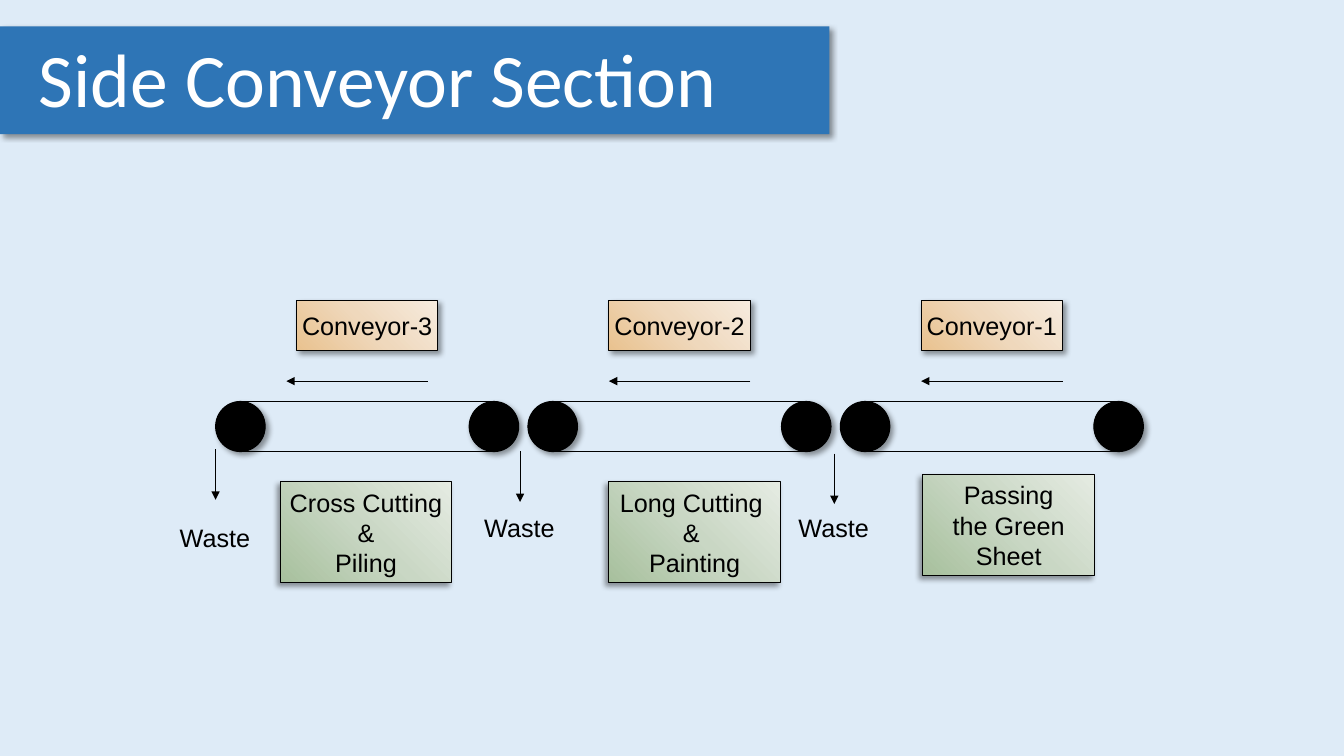
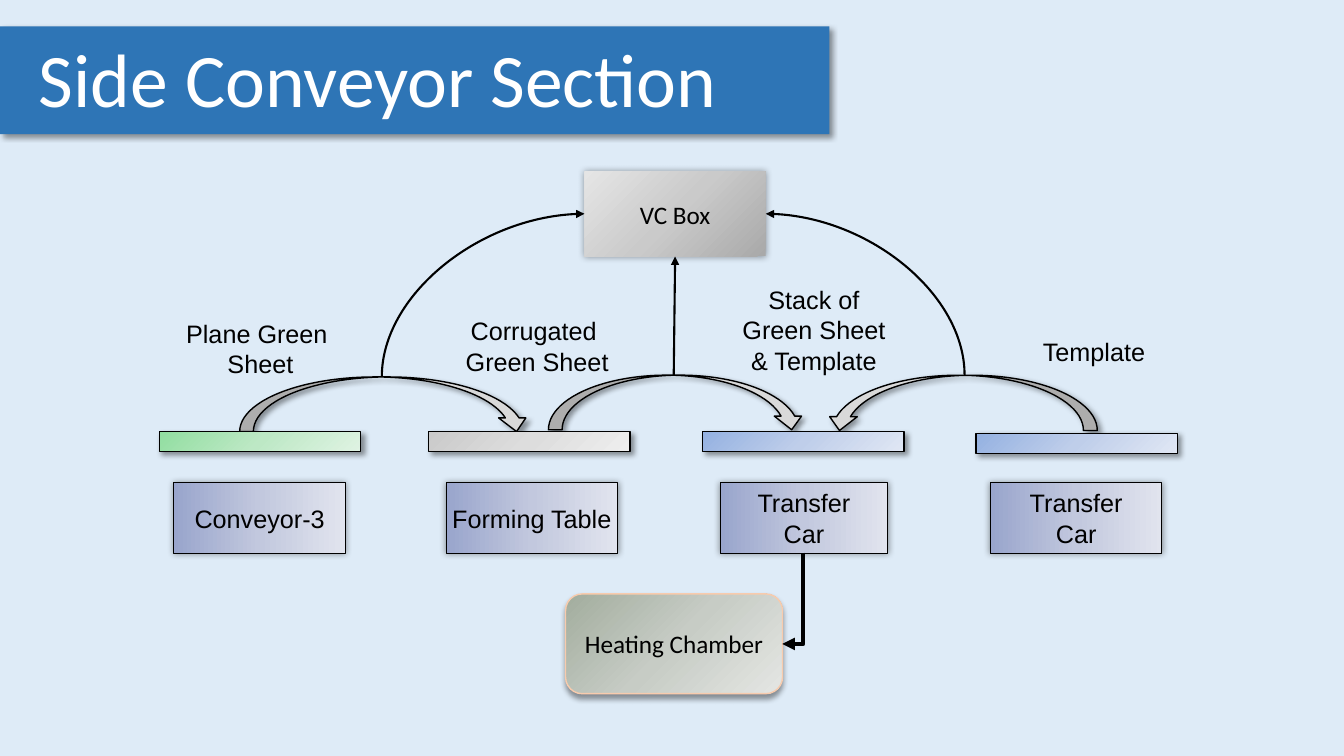
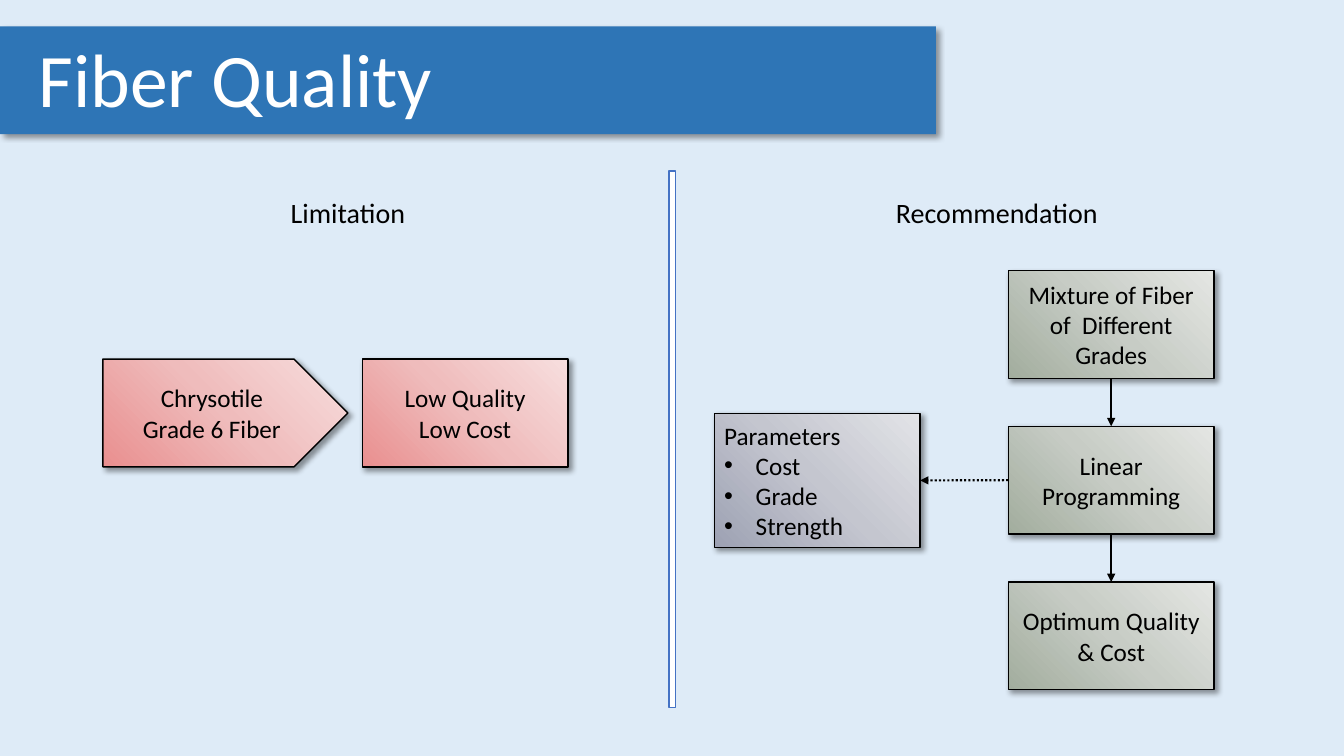
from lxml import etree
from pptx import Presentation
from pptx.dml.color import RGBColor
from pptx.enum import dml, shapes, text
from pptx.oxml.ns import qn
from pptx.util import Pt

SHAPE = shapes.MSO_SHAPE
CENTER, LEFT = text.PP_ALIGN.CENTER, text.PP_ALIGN.LEFT

# Colours: three-stop gradients run dark to light
BACKGROUND = RGBColor(0xDE, 0xEB, 0xF7)
BAND = RGBColor(0x2E, 0x75, 0xB6)
BLACK = RGBColor(0, 0, 0)
WHITE = RGBColor(255, 255, 255)
ARROW_GREY = RGBColor(0xD9, 0xD9, 0xD9)
DIVIDER_BLUE = RGBColor(0x44, 0x72, 0xC4)
PEACH = RGBColor(0xF8, 0xCB, 0xAD)
ORANGE = ("E9C28F", "EFD8BC", "F6EBDE")
LEAF = ("A7C09D", "C9D7C4", "E5EBE2")
LAVENDER = ("99A5CC", "C2C8DE", "E1E4EE")
GREEN = ("91DEA0", "BDE8C5", "DFF3E3")
BLUE = ("94B1E1", "BFCEEA", "E0E7F4")
SILVER = ("CACACA", "DDDDDD", "EEEEEE")
STEEL = ("A9A9A9", "CACACA", "E5E5E5")
SAGE = ("A2AD9E", "C7CCC5", "E4E6E3")
RED = ("E98F8F", "EFBCBC", "F7DEDE")
SLATE = ("9DA1B3", "C4C6CF", "E2E3E7")

# Shadows: blur, distance, direction
DROP, DROP_LEFT, DROP_DOWN, GLOW = (4, 3, 45), (4, 3, 135), (4, 3, 90), (5, 0, 0)

# Content, slide 1: conveyor, arrow left, task, task left and top, waste x, arrow top, label top
CONVEYORS = [
    ("Conveyor-3", 204.5, ["Cross Cutting", "&", "Piling"], 200.25, 344.25, 154, 321, 366),
    ("Conveyor-2", 435, ["Long Cutting ", "& ", "Painting"], 435, 344.25, 371.5, 322.5, 358.5),
    ("Conveyor-1", 658, ["Passing", " the Green ", "Sheet"], 659.25, 339, 596, 324, 358.5),
]

# Content, slide 2: station, plate left and top, plate colours, material, material top
STATIONS = [
    (["Conveyor-3"], 113.75, 308.25, GREEN, ["Plane Green ", "Sheet"], 216.5),
    (["Forming Table"], 306, 308.25, SILVER, ["Corrugated ", "Green Sheet"], 214.5),
    (["Transfer", "Car"], 501.75, 308.25, BLUE,
     ["Stack of", "Green Sheet", "& Template"], 203),
    (["Transfer", "Car"], 697.25, 309.5, BLUE, [" Template"], 218.75),
]
TRANSFERS = [  # shape, box, rotation
    (SHAPE.CURVED_DOWN_ARROW, (171.25, 269.25, 207.5, 39), 0),
    (SHAPE.CURVED_DOWN_ARROW, (391.75, 268, 183.5, 39), 0),
    (SHAPE.CURVED_UP_ARROW, (589.75, 268, 194, 39.5), 180),
]
TURNS = [  # preset, box, rotation, flips, weight
    ("curvedConnector2", (272.75, 152.75, 144.75, 116.5), 90, "HV", 1.5),
    ("curvedConnector2", (547, 152.75, 142, 115.25), 270, "V", 1.5),
    ("bentConnector2", (558.75, 394.75, 15, 65.25), 90, "", 3),
]

# Content, slide 3
HEADINGS = [("Limitation", 175, 147), ("Recommendation", 630.75, 162.5)]
LIMITATIONS = [
    (SHAPE.PENTAGON, 73.5, 175, ["Chrysotile", "Grade 6 Fiber"]),
    (SHAPE.RECTANGLE, 258.75, 147, ["Low Quality", "Low Cost"]),
]
STEPS = [["Mixture of Fiber of  Different Grades"], ["Linear Programming"],
         ["Optimum Quality", "& Cost"]]
PARAMETERS = ["Parameters", "Cost", "Grade", "Strength"]


def points(values):
    return [Pt(value) for value in values]


def add_effects(shape, shadow):
    properties = shape._element.spPr
    effects = etree.SubElement(properties, qn("a:effectLst"))
    if shadow:
        blur, distance, direction = shadow
        outer = etree.SubElement(effects, qn("a:outerShdw"), blurRad=str(Pt(blur)),
                                 dist=str(Pt(distance)), dir=str(direction * 60000),
                                 algn="tl", rotWithShape="0")
        color = etree.SubElement(outer, qn("a:srgbClr"), val="000000")
        etree.SubElement(color, qn("a:alpha"), val="40000")


def set_gradient(shape, colors, angle):
    shape.fill.gradient()
    shape.fill.gradient_angle = (360 - angle) % 360
    stops = shape._element.spPr.find(qn("a:gradFill")).find(qn("a:gsLst"))
    for stop in list(stops):
        stops.remove(stop)
    for position, color in zip((0, 50000, 100000), colors):
        stop = etree.SubElement(stops, qn("a:gs"), pos=str(position))
        etree.SubElement(stop, qn("a:srgbClr"), val=color)


def write(shape, lines, font="Arial", size=18, align=CENTER, wrap=False, inset=True):
    frame = shape.text_frame
    frame.word_wrap = wrap
    frame.vertical_anchor = text.MSO_ANCHOR.MIDDLE
    frame.margin_left = frame.margin_right = Pt(7.2 if inset else 0)
    frame.margin_top = frame.margin_bottom = Pt(3.6 if inset else 0)
    frame.text = "\n".join(lines)
    for paragraph in frame.paragraphs:
        paragraph.alignment = align
        paragraph.font.name = font
        paragraph.font.size = Pt(size)
        paragraph.font.color.rgb = BLACK


def add_box(slide, kind, box, fill, angle=315, line=BLACK, weight=1, shadow=DROP):
    shape = slide.shapes.add_shape(kind, *points(box))
    if isinstance(fill, RGBColor):
        shape.fill.solid()
        shape.fill.fore_color.rgb = fill
    else:
        set_gradient(shape, fill, angle)
    if line is None:
        shape.line.fill.background()
    else:
        shape.line.color.rgb = line
        shape.line.width = Pt(weight)
    add_effects(shape, shadow)
    return shape


def add_label(slide, box, lines, **style):
    write(slide.shapes.add_textbox(*points(box)), lines, **style)


def add_line(slide, start, end, weight=0.75, arrow=True, dash=None):
    line = slide.shapes.add_connector(shapes.MSO_CONNECTOR.STRAIGHT,
                                      *points(start + end))
    line.line.color.rgb = BLACK
    line.line.width = Pt(weight)
    if dash:
        line.line.dash_style = dash
    if arrow:
        etree.SubElement(line.line._get_or_add_ln(), qn("a:tailEnd"), type="triangle")
    add_effects(line, None)
    return line


def add_turn(slide, preset, box, rotation, flips, weight):
    """Draw a one-bend connector that fills box after its quarter turn."""
    left, top, width, height = box
    x, y = left + (width - height) / 2, top + (height - width) / 2
    line = add_line(slide, (x, y), (x + height, y + width), weight)
    properties = line._element.spPr
    properties.find(qn("a:prstGeom")).set("prst", preset)
    frame = properties.find(qn("a:xfrm"))
    frame.set("rot", str(rotation * 60000))
    for flip in flips:
        frame.set("flip" + flip, "1")


def link(slide, first, first_site, second, second_site, dash=None):
    line = add_line(slide, (0, 0), (1, 1), 1.5, dash=dash)
    line.begin_connect(first, first_site)
    line.end_connect(second, second_site)


def add_slide(presentation, title, band_width):
    """Add a slide whose title is the blue band."""
    slide = presentation.slides.add_slide(presentation.slide_layouts[5])
    band = slide.shapes.title
    band.left, band.top, band.width, band.height = points((0, 18.9, band_width, 77))
    band.fill.solid()
    band.fill.fore_color.rgb = BAND
    add_effects(band, DROP)
    write(band, [title], "Calibri", 54, LEFT, wrap=True)
    frame = band.text_frame
    frame.auto_size = text.MSO_AUTO_SIZE.NONE
    frame.vertical_anchor = text.MSO_ANCHOR.TOP
    frame.margin_left = Pt(27.6)
    frame.paragraphs[0].font.color.rgb = WHITE
    frame.paragraphs[0].line_spacing = 1.0
    return slide


def conveyor_slide(presentation):
    slide = add_slide(presentation, "Side Conveyor Section", 592.5)
    first, pitch, length, top = 154, 223.1, 216.5, 286.75
    pulley_width, pulley_height = 35.4, 35.8
    for index, conveyor in enumerate(CONVEYORS):
        name, arrow_left, task, task_left, task_top, waste_x, waste_top, label_top = conveyor
        left = first + index * pitch

        # Pulleys and belt
        for x in (left, left + length - pulley_width):
            add_box(slide, SHAPE.OVAL, (x, top, pulley_width, pulley_height), BLACK,
                    weight=0.75)
        for y in (top, top + pulley_height):
            add_line(slide, (left + pulley_width / 2, y),
                     (left + length - pulley_width / 2, y), arrow=False)

        # Name, direction and task
        sign = add_box(slide, SHAPE.RECTANGLE, (left + 57.75, 214.5, 101, 36), ORANGE,
                       weight=0.75)
        write(sign, [name])
        add_line(slide, (arrow_left + 101, 272.25), (arrow_left, 272.25))
        box = add_box(slide, SHAPE.FLOWCHART_PROCESS, (task_left, task_top, 122.5, 72),
                      LEAF, weight=0.75, shadow=DROP_LEFT)
        write(box, task)

        # Waste outlet
        add_line(slide, (waste_x, waste_top), (waste_x, waste_top + 36))
        add_label(slide, (waste_x - 30.5, label_top, 60, 36), ["Waste"], inset=False)


def transfer_slide(presentation):
    slide = add_slide(presentation, "Side Conveyor Section", 592.5)

    # Transfer arrows
    for kind, box, rotation in TRANSFERS:
        arrow = add_box(slide, kind, box, ARROW_GREY)
        arrow.rotation = rotation

    # Stations with plate and material
    for index, station in enumerate(STATIONS):
        name, plate_left, plate_top, colors, material, material_top = station
        center, material_center = 185.5 + index * 194.4, 186 + index * 197.7
        add_box(slide, SHAPE.RECTANGLE, (plate_left, plate_top, 144, 14.4), colors, 45)
        width = 119.5 if index == 2 else 122.5
        box = add_box(slide, SHAPE.FLOWCHART_PROCESS,
                      (center - width / 2, 344.75, width, 50.5),
                      LAVENDER, 0, weight=0.75, shadow=GLOW)
        write(box, name, inset=False)
        add_label(slide, (material_center - 61, material_top, 122, 65), material,
                  inset=False)

    # Vacuum box, heating chamber and their links
    vacuum = add_box(slide, SHAPE.RECTANGLE, (417.5, 122.75, 129.5, 60.5), STEEL, 225,
                     line=None, shadow=GLOW)
    write(vacuum, ["VC Box"], "Calibri", wrap=True)
    chamber = add_box(slide, SHAPE.ROUNDED_RECTANGLE, (404, 424.25, 155, 71.25), SAGE, 45,
                      line=PEACH, shadow=DROP_DOWN)
    write(chamber, ["Heating Chamber"], "Calibri", wrap=True)
    add_line(slide, (481.25, 268), (482.25, 183.25), 1.5)
    for turn in TURNS:
        add_turn(slide, *turn)


def fiber_slide(presentation):
    slide = add_slide(presentation, "Fiber Quality", 668.5)
    width, height = 147, 77

    # Two halves
    add_box(slide, SHAPE.RECTANGLE, (477.75, 122.25, 4.6, 383.25), WHITE,
            line=DIVIDER_BLUE, shadow=None)
    for heading, left, heading_width in HEADINGS:
        add_label(slide, (left, 122.5, heading_width, 58), [heading], font="Calibri",
                  size=20, wrap=True)
    for kind, left, box_width, lines in LIMITATIONS:
        box = add_box(slide, kind, (left, 256.5, box_width, height), RED)
        write(box, lines, "Calibri", wrap=True)

    # Recommended steps
    steps = []
    for index, lines in enumerate(STEPS):
        step = add_box(slide, SHAPE.RECTANGLE,
                       (720.25, 193.25 + index * 111.25, width, height), SAGE)
        write(step, lines, "Calibri", wrap=True)
        steps.append(step)
    for upper, lower in zip(steps, steps[1:]):
        link(slide, upper, 2, lower, 0)

    # Parameter list
    box = add_box(slide, SHAPE.RECTANGLE, (510.25, 295.25, width, 95.75), SLATE)
    write(box, PARAMETERS, "Calibri", align=LEFT, wrap=True)
    for paragraph in box.text_frame.paragraphs[1:]:
        properties = paragraph._p.get_or_add_pPr()
        properties.set("marL", str(Pt(22.5)))
        properties.set("indent", str(-Pt(22.5)))
        properties.insert(0, etree.Element(qn("a:buFont"), typeface="Arial"))
        properties.insert(1, etree.Element(qn("a:buChar"), char="•"))
    link(slide, steps[1], 1, box, 3, dash=dml.MSO_LINE.ROUND_DOT)


def main():
    presentation = Presentation()
    presentation.slide_width, presentation.slide_height = Pt(960), Pt(540)
    background = presentation.slide_master.background.fill
    background.solid()
    background.fore_color.rgb = BACKGROUND
    conveyor_slide(presentation)
    transfer_slide(presentation)
    fiber_slide(presentation)
    presentation.save("out.pptx")


if __name__ == "__main__":
    main()
